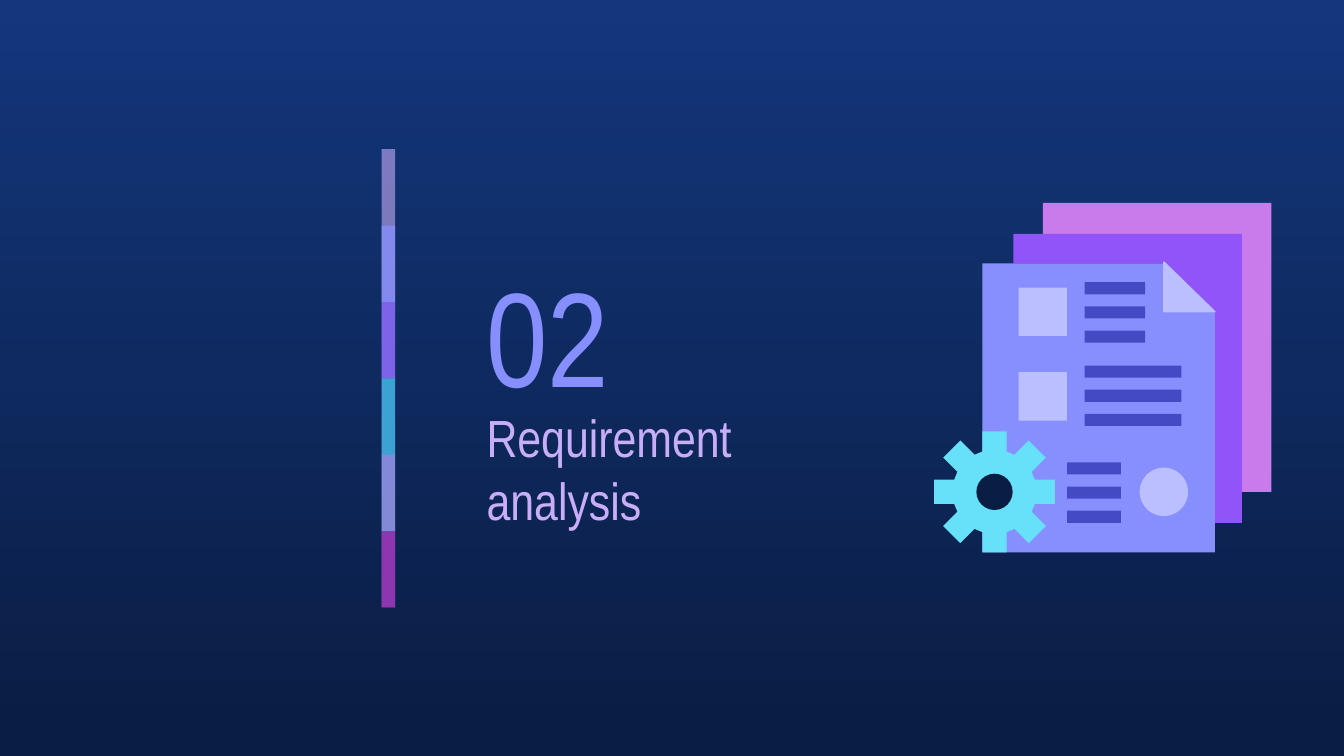
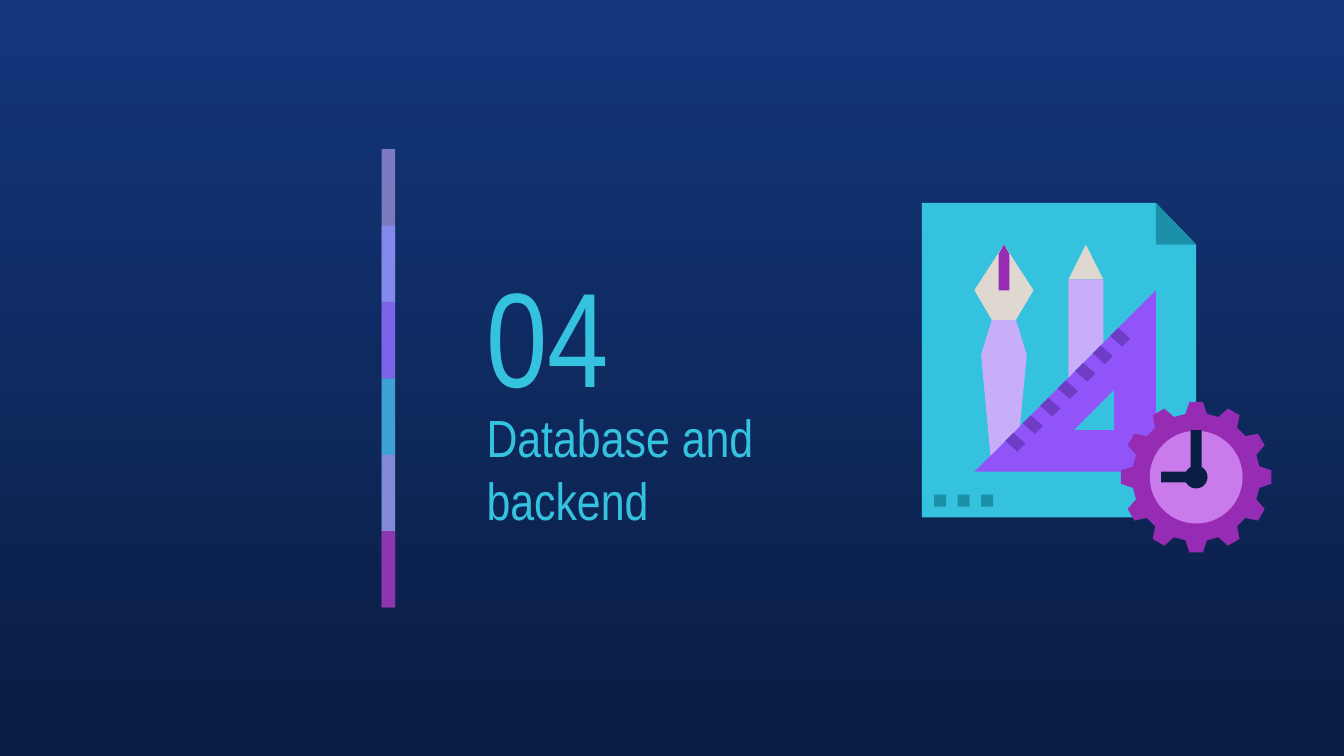
from math import cos, pi, sin

from lxml.etree import SubElement
from pptx import Presentation
from pptx.dml.color import RGBColor
from pptx.enum.shapes import MSO_SHAPE as Shape
from pptx.enum.text import MSO_ANCHOR as Anchor, MSO_AUTO_SIZE as AutoSize, PP_ALIGN as Align
from pptx.oxml.ns import qn
from pptx.util import Inches, Pt

FONT = "Arial Narrow"
COLORS = {
    "sky": "13367C",
    "navy": "0A1D42",
    "lavender": "C8AEF8",
    "periwinkle": "878FFF",
    "violet": "9154F8",
    "cyan": "35C2DF",
    "orchid": "CA7BEB",
    "plum": "972CB4",
    "aqua": "67E0F9",
    "mist": "BBBFFF",
    "indigo": "424BC4",
    "teal": "1B91A9",
    "sand": "DED8D0",
    "grape": "6F3CC6",
}
BANDS = [("lavender", 59), ("periwinkle", 74), ("violet", 53),
         ("cyan", 76), ("orchid", 56), ("plum", 74)]
BAND_TOP, BAND_BOTTOM = 1.11, 4.52


def rgb(name):
    """Return the palette colour with this name."""
    return RGBColor.from_string(COLORS[name])


def paint(sp, color, line=None):
    """Give a shape a flat fill, no shadow and an optional outline."""
    sp.shadow.inherit = False
    sp.fill.solid()
    sp.fill.fore_color.rgb = rgb(color)
    if line:
        sp.line.color.rgb = rgb(line)
        sp.line.width = Pt(0.75)
    else:
        sp.line.fill.background()
    return sp


def add_block(shapes, x, y, w, h, color, kind=Shape.RECTANGLE):
    """Add a filled preset shape."""
    sp = shapes.add_shape(kind, Inches(x), Inches(y), Inches(w), Inches(h))
    return paint(sp, color)


def add_disc(shapes, cx, cy, diameter, color):
    """Add a filled circle around a centre."""
    x, y = cx - diameter / 2, cy - diameter / 2
    return add_block(shapes, x, y, diameter, diameter, color, Shape.OVAL)


def add_polygon(shapes, color, *contours, line=None):
    """Add a filled outline made of one or more closed contours."""
    first, *others = [[(Inches(x), Inches(y)) for x, y in c] for c in contours]
    builder = shapes.build_freeform(*first[0])
    builder.add_line_segments(first[1:], close=True)
    for contour in others:
        builder.move_to(*contour[0])
        builder.add_line_segments(contour[1:], close=True)
    return paint(builder.convert_to_shape(), color, line)


def add_gear(shapes, cx, cy, teeth, profile, color):
    """Add a gear by turning one tooth profile around a centre."""
    points = []
    for i in range(teeth):
        a = 2 * pi * i / teeth
        points += [(cx + x * cos(a) - y * sin(a), cy + x * sin(a) + y * cos(a))
                   for x, y in profile]
    return add_polygon(shapes, color, points)


def format_text(sp, box, text, size, color):
    """Place a text shape and set its single left-aligned paragraph."""
    sp.left, sp.top, sp.width, sp.height = [Inches(v) for v in box]
    tf = sp.text_frame
    tf.text = text
    tf.word_wrap = True
    tf.auto_size = AutoSize.NONE
    tf.vertical_anchor = Anchor.MIDDLE
    tf.margin_left = tf.margin_right = tf.margin_top = tf.margin_bottom = Inches(0.1)
    p = tf.paragraphs[0]
    p.alignment = Align.LEFT
    font = p.runs[0].font
    font.name, font.size, font.color.rgb = FONT, Pt(size), rgb(color)


def style_master(prs, slide):
    """Give the master its gradient and the translucent band column."""
    master = prs.slide_master
    fill = master.background.fill
    fill.gradient()
    fill.gradient_angle = 270
    for stop, color in zip(fill.gradient_stops, ("sky", "navy")):
        stop.color.rgb = rgb(color)

    column = slide.shapes.add_group_shape()
    step = (BAND_BOTTOM - BAND_TOP) / len(BANDS)
    for i, (color, opacity) in enumerate(BANDS):
        top = BAND_TOP + i * step
        height = min(2 * step, BAND_BOTTOM - top)
        sp = add_block(column.shapes, 2.84, top, 0.1, height, color)
        clr = sp.element.spPr.find(".//" + qn("a:srgbClr"))
        SubElement(clr, qn("a:alpha")).set("val", str(opacity * 1000))
    for i, props in enumerate(column.element.iter(qn("p:cNvPr"))):
        props.set("id", str(100 + i))
    master.shapes.element.append(column.element)


def add_section(slide, number, title, number_color, title_color):
    """Set the section title and its large number."""
    box = slide.shapes.add_textbox(0, 0, 0, 0)
    format_text(box, (3.52, 1.81, 1.75, 1.35), number, 72, number_color)
    format_text(slide.shapes.title, (3.52, 3.15, 2.87, 0.67), title, 28, title_color)


def draw_documents(shapes):
    """Draw the stacked documents with a gear."""
    add_polygon(shapes, "orchid", [(7.76, 1.51), (7.76, 1.74), (9.24, 1.74),
                                   (9.24, 3.66), (9.46, 3.66), (9.46, 1.51)])
    add_polygon(shapes, "violet", [(7.54, 1.74), (7.54, 1.96), (8.66, 1.96), (9.01, 2.32),
                                   (9.01, 3.89), (9.24, 3.89), (9.24, 1.74)])
    add_polygon(shapes, "periwinkle", [(7.31, 1.96), (7.31, 4.11), (9.04, 4.11),
                                       (9.04, 2.33), (8.68, 1.96)])
    tooth = [(-0.09, -0.3), (-0.09, -0.45), (0.09, -0.45), (0.09, -0.3)]
    add_gear(shapes, 7.4, 3.66, 8, tooth, "aqua")
    add_disc(shapes, 7.4, 3.66, 0.27, "navy")
    for y in (2.14, 2.77):
        add_block(shapes, 7.58, y, 0.36, 0.36, "mist")
    add_disc(shapes, 8.66, 3.66, 0.36, "mist")
    for x, y, width in ((8.07, 2.1, 0.45), (8.07, 2.72, 0.72), (7.94, 3.44, 0.4)):
        for row in range(3):
            add_block(shapes, x, y + 0.18 * row, width, 0.09, "indigo")
    add_polygon(shapes, "mist", [(8.66, 1.95), (8.66, 2.32), (9.04, 2.32)], line="mist")


def draw_design_sheet(shapes):
    """Draw the sheet with drawing tools and a clock gear."""
    add_polygon(shapes, "cyan", [(6.86, 1.51), (6.86, 3.85), (8.9, 3.85),
                                 (8.9, 1.82), (8.6, 1.51)])
    add_polygon(shapes, "teal", [(8.6, 1.51), (8.6, 1.82), (8.9, 1.82)])
    add_polygon(shapes, "violet",
                [(8.29, 2.9), (8.29, 3.2), (7.99, 3.2)],
                [(8.6, 2.16), (7.25, 3.51), (8.6, 3.51)])
    tooth = [(-0.08, -0.47), (-0.05, -0.56), (0.05, -0.56), (0.08, -0.47)]
    add_gear(shapes, 8.9, 3.55, 12, tooth, "plum")

    add_polygon(shapes, "sand", [(8.08, 1.82), (7.95, 2.08), (8.21, 2.08)])
    add_polygon(shapes, "lavender", [(7.95, 2.08), (7.95, 2.81), (8.21, 2.55), (8.21, 2.08)])
    add_polygon(shapes, "sand", [(7.47, 1.82), (7.25, 2.16), (7.38, 2.38),
                                 (7.56, 2.38), (7.69, 2.16)])
    add_polygon(shapes, "lavender", [(7.38, 2.38), (7.3, 2.64), (7.37, 3.39),
                                     (7.59, 3.17), (7.64, 2.64), (7.56, 2.38)])

    add_disc(shapes, 8.9, 3.55, 0.69, "orchid")
    add_polygon(shapes, "navy", [(8.86, 3.2), (8.86, 3.51), (8.64, 3.51),
                                 (8.64, 3.59), (8.94, 3.59), (8.94, 3.2)])
    add_disc(shapes, 8.9, 3.55, 0.17, "navy")
    add_polygon(shapes, "plum", [(7.47, 1.82), (7.43, 1.89), (7.43, 2.16),
                                 (7.51, 2.16), (7.51, 1.89)])
    for i in range(7):
        x, y = 7.48 + 0.13 * i, 3.22 - 0.13 * i
        add_polygon(shapes, "grape", [(x + 0.06, y), (x, y + 0.06),
                                      (x + 0.09, y + 0.14), (x + 0.15, y + 0.08)])
    for i in range(3):
        add_block(shapes, 6.95 + 0.35 * i / 2, 3.68, 0.09, 0.09, "teal")


def main():
    """Build both section slides and save the deck."""
    prs = Presentation()
    prs.slide_width, prs.slide_height = Inches(10), Inches(10 * 9 / 16)
    sections = [
        ("02", "Requirement analysis", "periwinkle", "lavender", draw_documents),
        ("04", "Database and backend", "cyan", "cyan", draw_design_sheet),
    ]
    for *section, draw in sections:
        slide = prs.slides.add_slide(prs.slide_layouts[5])
        add_section(slide, *section)
        draw(slide.shapes.add_group_shape().shapes)
    style_master(prs, prs.slides[0])
    prs.save("out.pptx")


if __name__ == "__main__":
    main()
